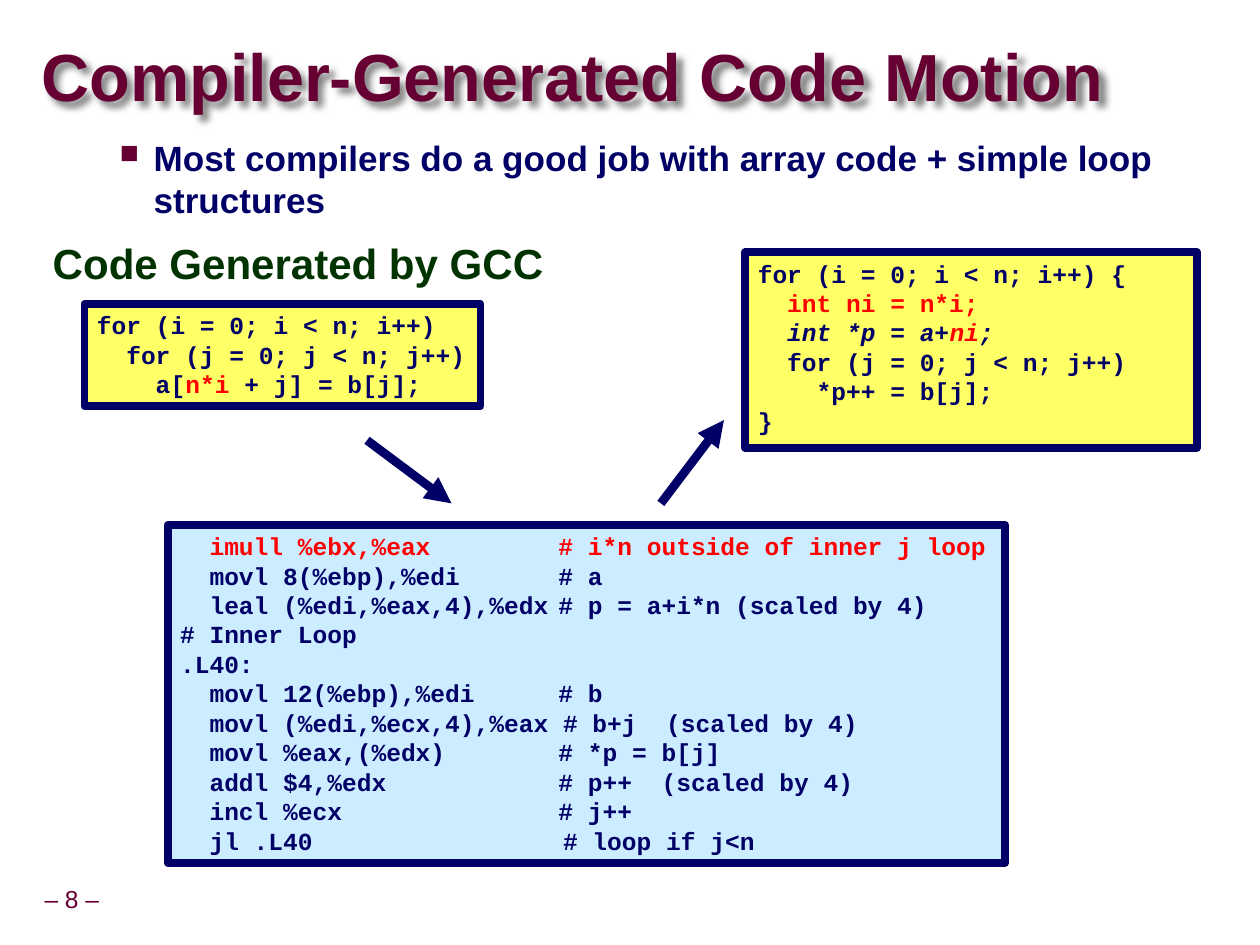
from lxml import etree
from pptx import Presentation
from pptx import util as u
from pptx.dml.color import RGBColor
from pptx.enum import shapes, text
from pptx.oxml.ns import qn

NAVY, MAROON, GREEN, RED = "000066", "660033", "003300", "FF0000"
YELLOW, PALE_BLUE = "FFFF66", "CCECFF"
CODE = dict(font="Courier New", size=14, color=NAVY, bold=True)
HOT = dict(color=RED)


def rgb(value):
    return RGBColor.from_string(value)


def child(parent, tag, **attributes):
    return etree.SubElement(parent, qn(tag), attributes)


def write(paragraph, content, font="Arial", size=14, color=NAVY, bold=False, italic=False):
    run = paragraph.add_run()
    run.text = content
    run.font.name, run.font.size = font, u.Pt(size)
    run.font.bold, run.font.italic = bold, italic
    run.font.color.rgb = rgb(color)


class CodeSlide:
    """Holds the deck style and the current slide."""

    def __init__(self, deck, edge=NAVY):
        self.slide = deck.slides.add_slide(deck.slide_layouts[6])
        self.edge = edge

    def label(self, box, anchor=text.MSO_ANCHOR.TOP, inset=(0.1, 0.05), wrap=True):
        area = self.slide.shapes.add_textbox(*map(u.Inches, box))
        self.frame(area, inset, wrap, anchor)
        return area

    def frame(self, shape, inset, wrap, anchor):
        frame = shape.text_frame
        frame.word_wrap, frame.vertical_anchor = wrap, anchor
        frame.margin_left = frame.margin_right = u.Inches(inset[0])
        frame.margin_top = frame.margin_bottom = u.Inches(inset[1])

    def code(self, box, fill, lines, wrap=False, comment_tab=None):
        panel = self.slide.shapes.add_shape(shapes.MSO_SHAPE.RECTANGLE, *map(u.Inches, box))
        panel.shadow.inherit = False
        panel.fill.solid()
        panel.fill.fore_color.rgb = rgb(fill)
        panel.line.color.rgb, panel.line.width = rgb(self.edge), u.Pt(4.5)
        self.frame(panel, (0.1, 0.05), wrap, text.MSO_ANCHOR.TOP)
        for number, line in enumerate(lines):
            frame = panel.text_frame
            paragraph = frame.add_paragraph() if number else frame.paragraphs[0]
            paragraph.alignment = text.PP_ALIGN.LEFT
            if comment_tab:
                tabs = child(paragraph._p.get_or_add_pPr(), "a:tabLst")
                child(tabs, "a:tab", pos=str(u.Inches(comment_tab)), algn="l")
            for content, style in line:
                write(paragraph, content, **{**CODE, **style})

    def arrow(self, start, end):
        line = self.slide.shapes.add_connector(
            shapes.MSO_CONNECTOR.STRAIGHT, *map(u.Inches, start + end))
        line.line.color.rgb, line.line.width = rgb(self.edge), u.Pt(5)
        child(line.line._get_or_add_ln(), "a:tailEnd", type="triangle")
        child(line._element.spPr, "a:effectLst")


def main():
    deck = Presentation()
    deck.slide_width, deck.slide_height = u.Inches(9.99), u.Inches(7.49)
    page = CodeSlide(deck)

    # Page number
    number = page.label((0.23, 6.98, 0.68, 0.32), text.MSO_ANCHOR.MIDDLE, (0.05, 0.05), False)
    page_mark = number.text_frame.paragraphs[0]
    page_mark.alignment, page_mark.line_spacing = text.PP_ALIGN.CENTER, 0.9
    write(page_mark, "– 8 –", color=MAROON)

    # Title with a soft shadow
    title = page.label((0.33, 0.33, 8.73, 0.62), text.MSO_ANCHOR.MIDDLE, (0, 0))
    headline = title.text_frame.paragraphs[0]
    headline.line_spacing = 0.87
    write(headline, "Compiler-Generated Code Motion", size=38, color=MAROON, bold=True)
    effects = child(title._element.spPr, "a:effectLst")
    shadow = child(effects, "a:outerShdw", blurRad=str(u.Pt(4)), dist=str(u.Pt(4)),
                   dir="2700000", algn="tl", rotWithShape="0")
    child(child(shadow, "a:srgbClr", val="000000"), "a:alpha", val="50000")

    # Bullet and section heading
    body = page.label((0.32, 1.03, 9.07, 2.12)).text_frame
    remark = body.paragraphs[0]
    bullet = remark._p.get_or_add_pPr()
    bullet.set("marL", str(u.Inches(0.8)))
    bullet.set("indent", str(u.Inches(-0.27)))
    child(child(bullet, "a:buClr"), "a:srgbClr", val=MAROON)
    child(bullet, "a:buSzPct", val="75000")
    child(bullet, "a:buChar", char="■")
    write(remark, "Most compilers do a good job with array code + simple loop structures",
          size=20, bold=True)
    heading = body.add_paragraph()
    heading.line_spacing, heading.space_before = 0.95, u.Pt(12)
    write(heading, "Code Generated by GCC", size=24, color=GREEN, bold=True)

    # Source loop
    page.code((0.67, 2.41, 3.14, 0.81), YELLOW, [
        [("for (i = 0; i < n; i++)", {})],
        [("  for (j = 0; j < n; j++)", {})],
        [("    a[", {}), ("n*i", HOT), (" + j] = b[j];", {})],
    ])

    # Generated assembly, comments aligned at a tab stop
    assembly = [
        "  movl 8(%ebp),%edi\t# a",
        "  leal (%edi,%eax,4),%edx\t# p = a+i*n (scaled by 4)",
        "# Inner Loop",
        ".L40:",
        "  movl 12(%ebp),%edi\t# b",
        "  movl (%edi,%ecx,4),%eax # b+j  (scaled by 4)",
        "  movl %eax,(%edx)\t# *p = b[j]",
        "  addl $4,%edx\t# p++  (scaled by 4)",
        "  incl %ecx\t# j++",
        "  jl .L40                 # loop if j<n",
    ]
    hoisted = [("  imull %ebx,%eax\t# i*n outside of inner j loop", HOT)]
    page.code((1.33, 4.16, 6.64, 2.68), PALE_BLUE,
              [hoisted] + [[(line, {})] for line in assembly], comment_tab=3)

    # Equivalent loop after code motion
    slanted = dict(italic=True)
    page.code((5.91, 2, 3.58, 1.55), YELLOW, [
        [("for (i = 0; i < n; i++) {", {})],
        [("  int ni = n*i;", HOT)],
        [("  int *p = a+", slanted), ("ni", {**HOT, **slanted}), (";", slanted)],
        [("  for (j = 0; j < n; j++)", {})],
        [("    *p++ = b[j];", {})],
        [("}", {})],
    ], wrap=True)

    # Flow from source to assembly to equivalent loop
    page.arrow((2.91, 3.49), (3.58, 3.99))
    page.arrow((5.24, 3.99), (5.74, 3.33))

    deck.save("out.pptx")


if __name__ == "__main__":
    main()
